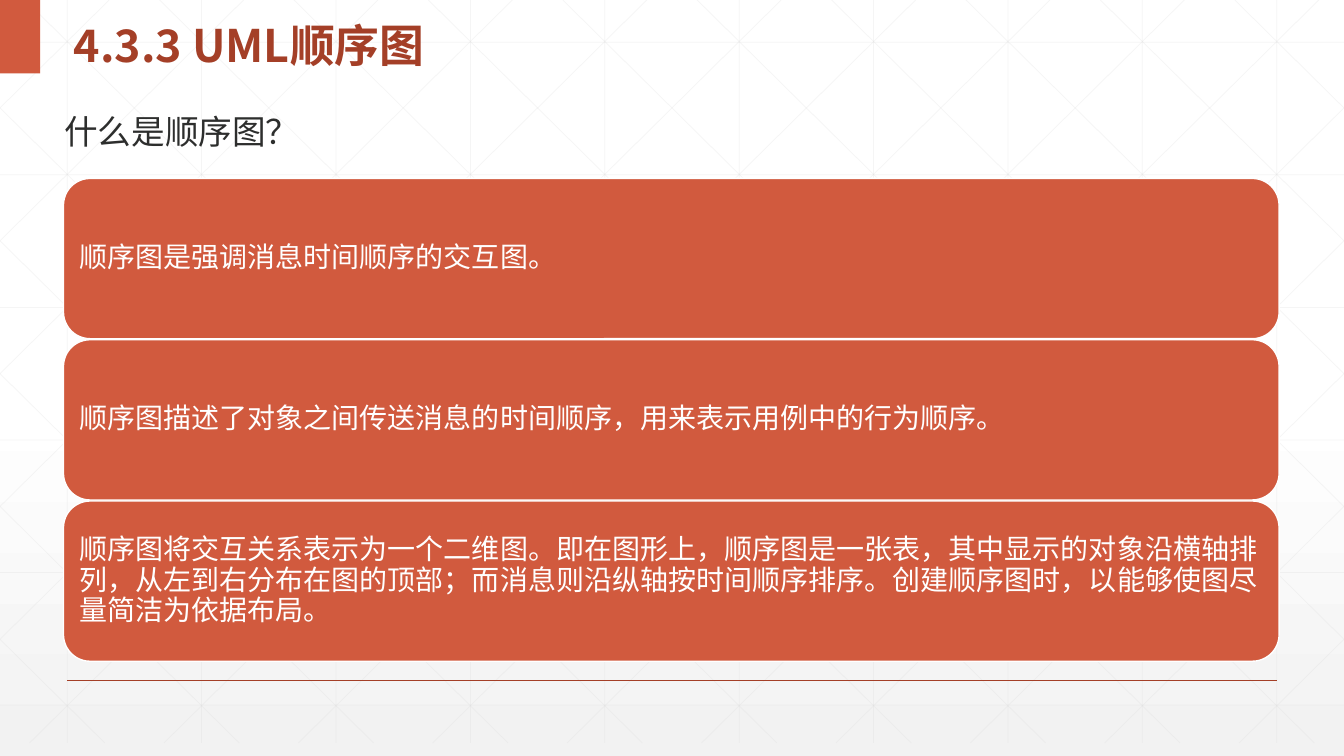
from lxml import etree
from pptx import Presentation
from pptx.dml.color import RGBColor
from pptx.enum.shapes import MSO_CONNECTOR, MSO_SHAPE
from pptx.enum.text import MSO_ANCHOR, MSO_AUTO_SIZE, PP_ALIGN
from pptx.oxml.ns import qn
from pptx.util import Inches, Pt

W, H = 13.333, 7.5
GRID_H = 7.37
LEFT, CONTENT_W = 0.63, 12.06
ACCENT, DARK, TEXT, WHITE, GRID = "D15A3E", "A43F27", "2D2E2D", "FFFFFF", "D9D9D9"
CJK = "Noto Sans CJK SC"
LEFT_ALIGN, MIDDLE = PP_ALIGN.LEFT, MSO_ANCHOR.MIDDLE
STRAIGHT = MSO_CONNECTOR.STRAIGHT
RECT, ROUNDED = MSO_SHAPE.RECTANGLE, MSO_SHAPE.ROUNDED_RECTANGLE

CARDS = [
    "顺序图是强调消息时间顺序的交互图。",
    "顺序图描述了对象之间传送消息的时间顺序，用来表示用例中的行为顺序。",
    "顺序图将交互关系表示为一个二维图。即在图形上，顺序图是一张表，其中显示的对象沿横轴排列，"
    "从左到右分布在图的顶部；而消息则沿纵轴按时间顺序排序。创建顺序图时，以能够使图尽量简洁为依据布局。",
]


def rgb(value):
    return RGBColor.from_string(value)


def box(*lengths):
    return [Inches(v) for v in lengths]


def write(tf, text, size, color, font="Arial", bold=False, spacing=1.0):
    tf.text = text
    p = tf.paragraphs[0]
    p.alignment, p.line_spacing = LEFT_ALIGN, spacing
    f = p.runs[0].font
    f.name, f.size, f.bold = font, Pt(size), bold
    f.color.rgb = rgb(color)
    etree.SubElement(p.runs[0]._r.rPr, qn("a:ea"), typeface=CJK)


def add_line(s, x1, y1, x2, y2, color, width, opacity=None):
    line = s.shapes.add_connector(STRAIGHT, *box(x1, y1, x2, y2))
    line.line.color.rgb = rgb(color)
    line.line.width = Pt(width)
    spPr = line._element.spPr
    etree.SubElement(spPr, qn("a:effectLst"))
    if opacity:
        clr = next(spPr.iter(qn("a:srgbClr")))
        etree.SubElement(clr, qn("a:alpha"), val=str(opacity * 1000))


def add_block(s, preset, x, y, w, h, line=None):
    shape = s.shapes.add_shape(preset, *box(x, y, w, h))
    shape.shadow.inherit = False
    shape.fill.solid()
    shape.fill.fore_color.rgb = rgb(ACCENT)
    if line:
        shape.line.color.rgb = rgb(line)
        shape.line.width = Pt(1)
    else:
        shape.line.fill.background()
    return shape


def set_background(s):
    fill = s.background.fill
    fill.gradient()
    fill.gradient_angle = 270  # white at the top, grey at the bottom
    stops = next(s.background._cSld.iter(qn("a:gsLst")))
    for stop in list(stops):
        stops.remove(stop)
    for pos, color in ((0, WHITE), (53, WHITE), (100, "F2F2F2")):
        stop = etree.SubElement(stops, qn("a:gs"), pos=str(pos * 1000))
        etree.SubElement(stop, qn("a:srgbClr"), val=color)


def draw_grid(s, w, h):
    step, row_step, slope = w / 10, 1.315, 0.9885
    lines = [(x, 0, x, h) for x in (step * (i + 0.5) for i in range(10))]
    lines += [(0, y, w, y) for y in (0.42 + row_step * j for j in range(6))]
    # Diagonals, cut off at the slide edges, and their mirror images
    for i in range(-5, 10):
        x0 = 0.25 + step * i
        x1, x2 = max(x0, 0), min(x0 + h / slope, w)
        y1, y2 = (x1 - x0) * slope, (x2 - x0) * slope
        lines += [(x1, y1, x2, y2), (w - x1, y1, w - x2, y2)]
    for ends in lines:
        add_line(s, *ends, GRID, 0.5, opacity=25)


def draw_header(s, x, h):
    add_block(s, RECT, 0, 0, 0.4, h)
    title = s.shapes.title
    title.element.getparent().append(title.element)  # in front of the grid
    title.left, title.top, title.width, title.height = box(x, 0, 5.69, h)
    tf = title.text_frame
    tf.vertical_anchor = MIDDLE
    tf.auto_size = MSO_AUTO_SIZE.NONE
    write(tf, "4.3.3 UML顺序图", 32, DARK, CJK, True, 1.3)


def draw_question(s, x, y, w, h):
    tf = s.shapes.add_textbox(*box(x, y, w, h)).text_frame
    tf.word_wrap = False
    tf.auto_size = MSO_AUTO_SIZE.SHAPE_TO_FIT_TEXT
    write(tf, "什么是顺序图？", 24, TEXT)


def draw_cards(s, x, y, w, h):
    pitch = h / len(CARDS)
    for i, text in enumerate(CARDS):
        card = add_block(s, ROUNDED, x, y + i * pitch, w, pitch - 0.01, WHITE)
        tf = card.text_frame
        tf.word_wrap = True
        tf.vertical_anchor = MIDDLE
        # The rounded corners add their own inset of about 0.08
        tf.margin_left = tf.margin_right = Inches(0.08)
        tf.margin_top = tf.margin_bottom = Inches(0.08)
        write(tf, text, 20, WHITE, spacing=0.9)


def main():
    prs = Presentation()
    prs.slide_width, prs.slide_height = box(W, H)
    s = prs.slides.add_slide(prs.slide_layouts[5])
    set_background(s)
    draw_grid(s, W, GRID_H)
    add_line(s, W / 20, 6.75, W * 19 / 20, 6.75, DARK, 1)
    draw_header(s, LEFT, 0.73)
    draw_cards(s, LEFT, 1.77, CONTENT_W, 4.8)
    draw_question(s, 0.54, 1.05, 2.56, 0.5)
    prs.save("out.pptx")


if __name__ == "__main__":
    main()
